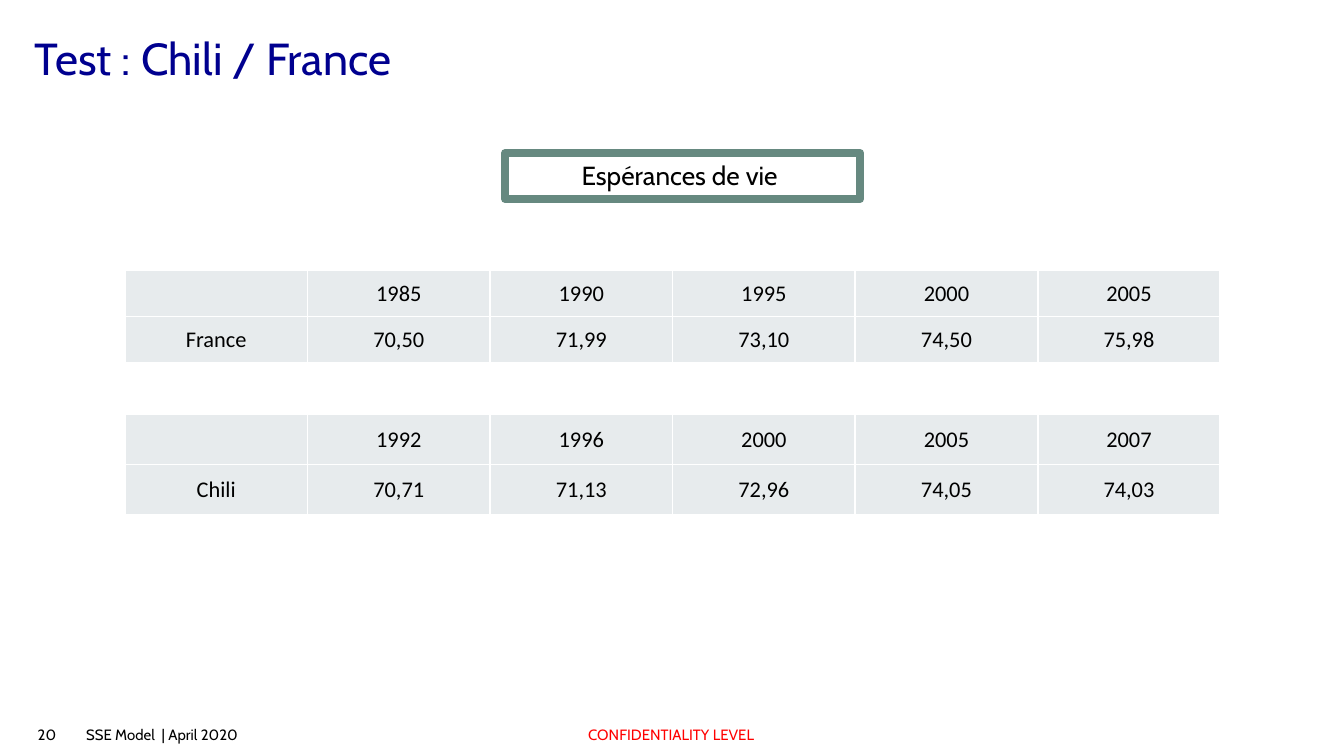
from dataclasses import dataclass

from pptx import Presentation
from pptx.dml.color import RGBColor
from pptx.enum import shapes, text
from pptx.oxml import parse_xml
from pptx.oxml.ns import nsdecls
from pptx.util import Inches, Pt

HUES = {"ink": "000000", "title": "00008F", "alert": "FF0000",
        "frame": "668980", "cell": "E7EBED", "rule": "FFFFFF"}
LEFT, CENTER = text.PP_ALIGN.LEFT, text.PP_ALIGN.CENTER


@dataclass
class Label:
    words: str
    area: tuple[float, float, float, float]
    hue: str = "ink"
    align: text.PP_ALIGN = CENTER


@dataclass
class Series:
    land: str
    years: list[str]
    ages: list[str]
    top: float
    height: float


LABELS = [
    Label("20", (0.01, 5.33, 0.68, 0.27)),
    Label("SSE Model  | April 2020", (0.55, 5.37, 2.42, 0.19), align=LEFT),
    Label("CONFIDENTIALITY LEVEL", (3.64, 5.37, 2.71, 0.19), hue="alert"),
]
SERIES = [
    Series("France", ["1985", "1990", "1995", "2000", "2005"],
           ["70,50", "71,99", "73,10", "74,50", "75,98"], 2.01, 0.69),
    Series("Chili", ["1992", "1996", "2000", "2005", "2007"],
           ["70,71", "71,13", "72,96", "74,05", "74,03"], 3.08, 0.75),
]


def color(name: str) -> RGBColor:
    return RGBColor.from_string(HUES[name])


def inset(item, left: float, top: float, right: float, bottom: float) -> None:
    """Set the inner margins of a text frame or table cell."""
    item.margin_left, item.margin_top = Inches(left), Inches(top)
    item.margin_right, item.margin_bottom = Inches(right), Inches(bottom)


def write(frame, words: str, *, size: float, font: str = "Cabin",
          hue: str = "ink", align: text.PP_ALIGN = CENTER) -> None:
    frame.text = words
    para = frame.paragraphs[0]
    para.alignment = align
    para.font.size, para.font.name = Pt(size), font
    para.font.color.rgb = color(hue)


def draw_title(slide, words: str) -> None:
    title = slide.shapes.title
    title.left, title.top = Inches(0.26), Inches(0.23)
    title.width, title.height = Inches(9.65), Inches(0.39)
    frame = title.text_frame
    inset(frame, 0, 0, 0, 0)
    frame.vertical_anchor = text.MSO_ANCHOR.MIDDLE
    write(frame, words, size=24, hue="title", align=LEFT)


def draw_label(slide, label: Label) -> None:
    frame = slide.shapes.add_textbox(*map(Inches, label.area)).text_frame
    frame.word_wrap = True
    frame.vertical_anchor = text.MSO_ANCHOR.MIDDLE
    inset(frame, 0.09, 0.04, 0.09, 0.04)
    write(frame, label.words, size=8, hue=label.hue, align=label.align)


def draw_frame(slide, words: str) -> None:
    box = slide.shapes.add_shape(
        shapes.MSO_SHAPE.RECTANGLE,
        Inches(3.76), Inches(1.14), Inches(2.64), Inches(0.34))
    box.shadow.inherit = False
    box.fill.background()
    box.line.color.rgb = color("frame")
    box.line.width = Pt(4.5)
    frame = box.text_frame
    frame.word_wrap = True
    frame.auto_size = text.MSO_AUTO_SIZE.SHAPE_TO_FIT_TEXT
    frame.vertical_anchor = text.MSO_ANCHOR.TOP
    write(frame, words, size=14)


def rule(cell) -> None:
    """Draw thin lines on the four sides of a cell."""
    props = cell._tc.get_or_add_tcPr()
    for side in ("lnL", "lnR", "lnT", "lnB"):
        props.append(parse_xml(
            f'<a:{side} {nsdecls("a")} w="{Pt(1)}"><a:solidFill>'
            f'<a:srgbClr val="{HUES["rule"]}"/></a:solidFill></a:{side}>'))


def draw_table(slide, series: Series) -> None:
    rows = [["", *series.years], [series.land, *series.ages]]
    table = slide.shapes.add_table(
        len(rows), len(rows[0]), Inches(0.93), Inches(series.top),
        Inches(8.15), Inches(series.height)).table
    for r, row in enumerate(rows):
        for c, words in enumerate(row):
            cell = table.cell(r, c)
            rule(cell)
            cell.fill.solid()
            cell.fill.fore_color.rgb = color("cell")
            cell.vertical_anchor = text.MSO_ANCHOR.MIDDLE
            inset(cell, 0.01, 0.01, 0.01, 0)
            write(cell.text_frame, words, size=12, font="Calibri")


def main() -> None:
    deck = Presentation()
    deck.slide_width = Inches(10)
    deck.slide_height = deck.slide_width * 9 // 16
    slide = deck.slides.add_slide(deck.slide_layouts.get_by_name("Title Only"))
    draw_title(slide, "Test : Chili / France")
    for label in LABELS:
        draw_label(slide, label)
    draw_frame(slide, "Espérances de vie ")
    for series in SERIES:
        draw_table(slide, series)
    deck.save("out.pptx")


if __name__ == "__main__":
    main()
